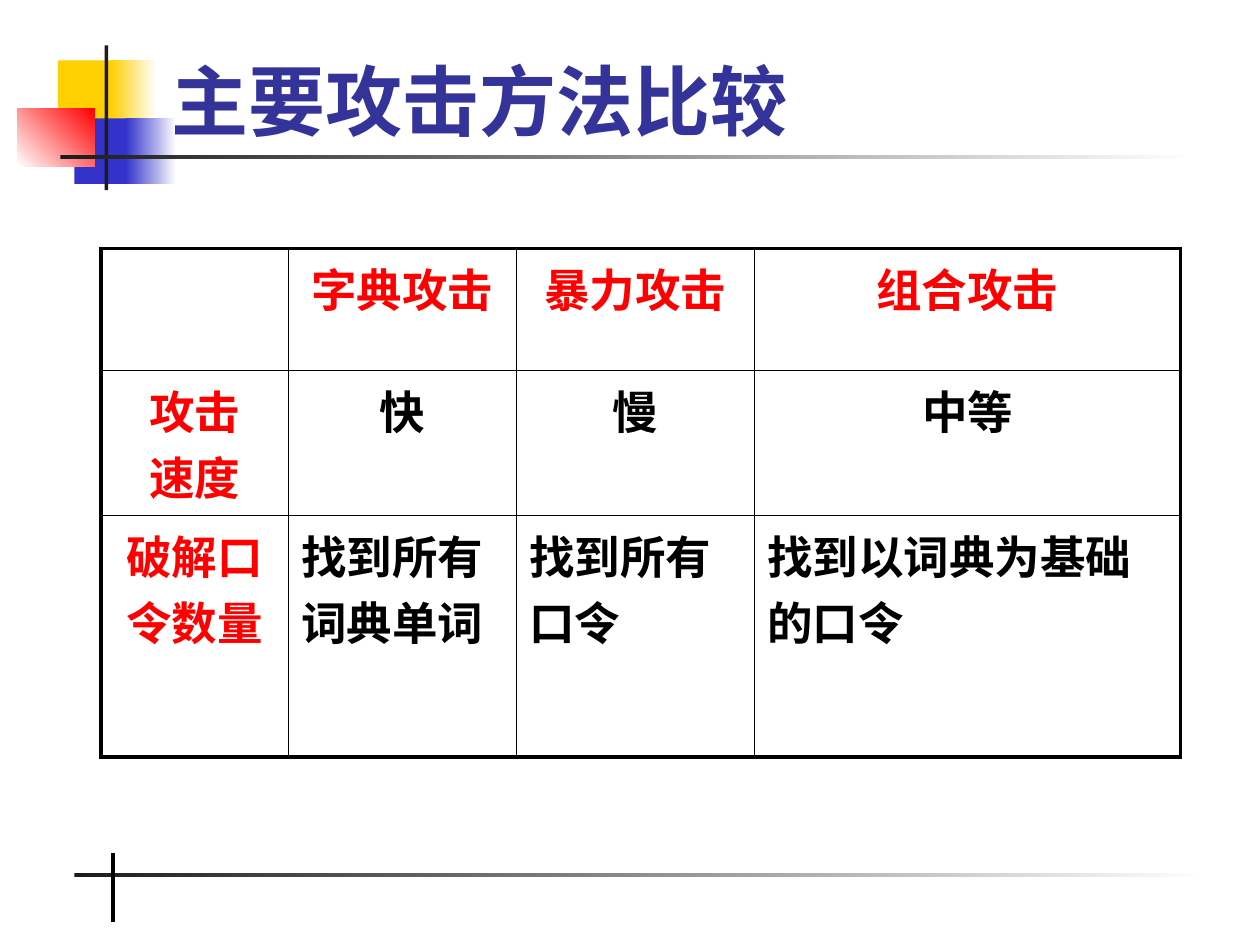
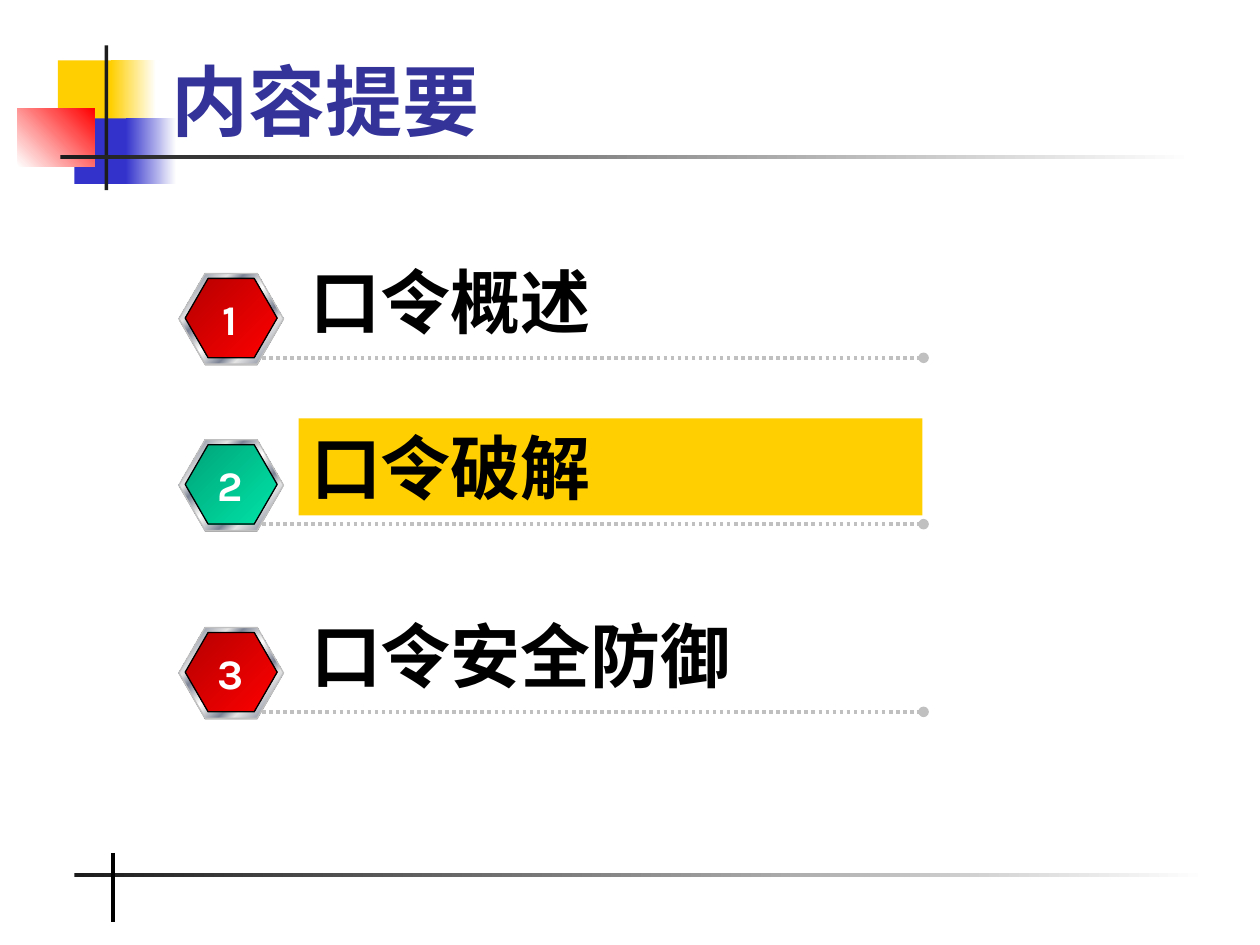
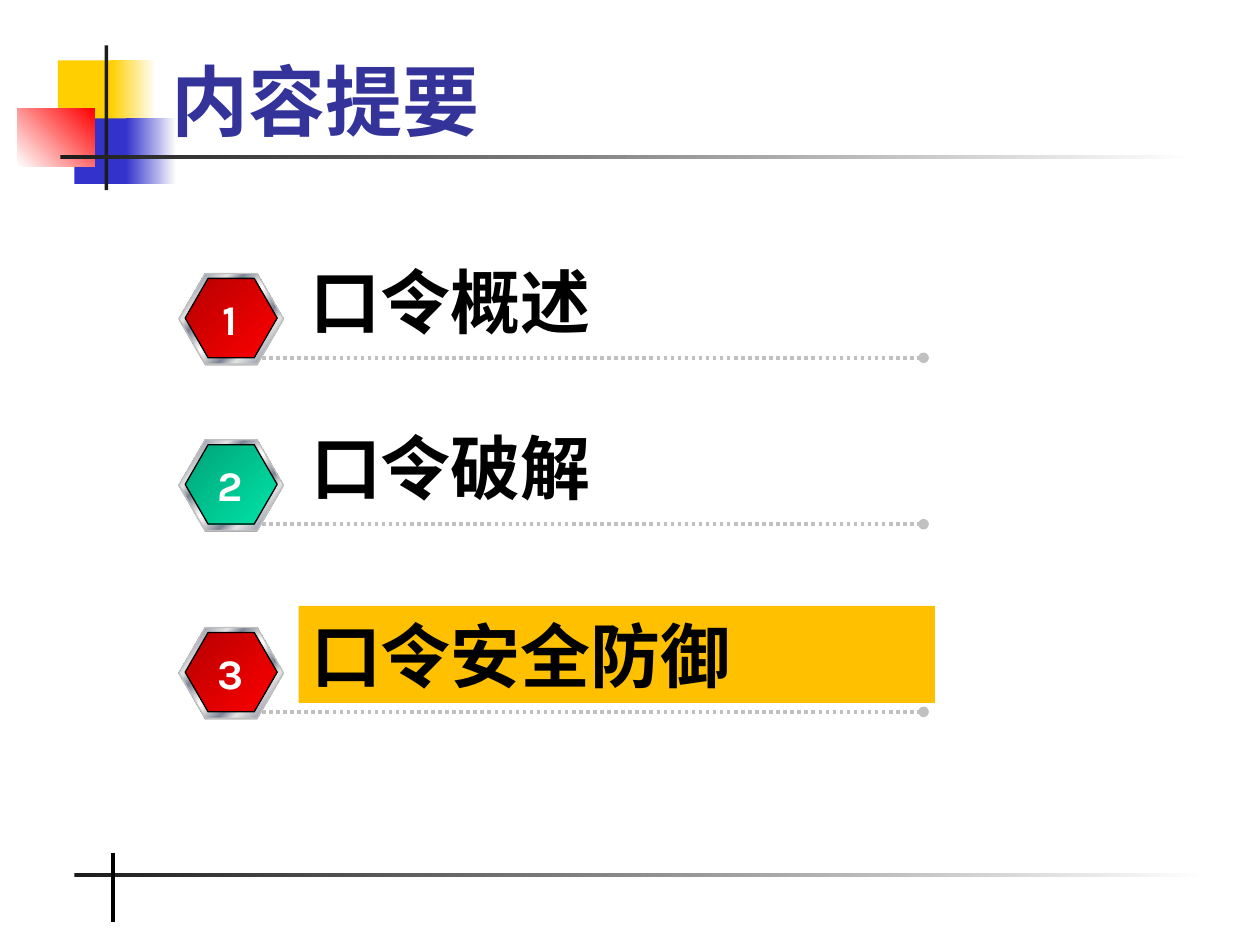
"""Build three slides on password attacks: a comparison table and two agenda views."""
from dataclasses import dataclass

from lxml import etree
from pptx import Presentation, util as u
from pptx.dml.color import RGBColor
from pptx.enum import dml, shapes, text
from pptx.oxml import ns


@dataclass(frozen=True)
class Theme:
    black: str = "000000"
    white: str = "FFFFFF"
    ink: str = "1C1C1C"
    title: str = "333399"
    yellow: str = "FFCF01"
    amber: str = "FFC000"
    blue: str = "3333CC"
    red: str = "FF0000"
    dark_red: str = "B60000"
    green: str = "00E4A8"
    dark_green: str = "00A378"
    silver: str = "C0C0C0"
    gray: str = "808080"
    light: str = "E6E6E6"
    steel: str = "7D8496"
    serif: str = "Times New Roman"
    sans: str = "DejaVu Sans"
    label: str = "Karla"
    title_pt: float = 44
    agenda_pt: float = 40
    table_pt: float = 26
    number_pt: float = 24
    thin_pt: float = 1
    thick_pt: float = 2.25


T = Theme()

COMPARISON = [
    ["", "字典攻击", "暴力攻击", "组合攻击"],
    ["攻击\n速度", "快", "慢", "中等"],
    ["破解口令数量", "找到所有词典单词", "找到所有口令", "找到以词典为基础的口令"],
]
COL_WIDTHS = [1.49, 1.81, 1.89, 3.38]
ROW_HEIGHTS = [0.97, 1.15, 1.92]
SANS_CELL = (2, 2)

RED_BADGE = (T.dark_red, T.red)
GREEN_BADGE = (T.dark_green, T.green)
AGENDA = [
    (2.0, 4.96, RED_BADGE, [("口令概述", T.serif)]),
    (3.32, 4.95, GREEN_BADGE, [("口令破解", T.label)]),
    (4.81, 5.05, RED_BADGE, [("口令安全防御", T.label)]),
]
SPLIT_LABEL = [("口令", T.serif), ("安全防御", T.label)]

METAL = [(0, T.light), (7, T.steel), (26, T.light), (34, T.steel), (46, T.light),
         (50, T.white), (54, T.light), (66, T.steel), (74, T.light), (93, T.steel),
         (100, T.light)]

FADE = [(0, T.ink), (100, T.white)]
FRAME = [
    ((0.46, 0.48, 0.48, 0.52), T.yellow, 0),
    ((0.88, 0.48, 0.36, 0.52), [(0, T.yellow), (100, T.white)], 0),
    ((0.59, 0.94, 0.46, 0.52), T.blue, 0),
    ((1.0, 0.94, 0.4, 0.52), [(0, T.blue), (100, T.white)], 0),
    ((0.14, 0.86, 0.61, 0.46), [(0, T.white), (100, T.red)], 315),
    ((0.83, 0.36, 0.03, 1.15), T.ink, 0),
    ((0.48, 1.23, 9, 0.03), FADE, 0),
    ((0.59, 6.93, 9, 0.03), FADE, 0),
]


def rgb(color):
    return RGBColor.from_string(color)


def inches(values):
    return [u.Inches(v) for v in values]


def add(parent, tag, **attrs):
    return etree.SubElement(parent, ns.qn(tag), attrs)


def paint(sp, fill, angle=0):
    if isinstance(fill, str):
        sp.fill.solid()
        sp.fill.fore_color.rgb = rgb(fill)
        return
    sp.fill.gradient()
    sp.fill.gradient_angle = (360 - angle) % 360
    stops = sp.element.spPr.find(".//" + ns.qn("a:gsLst"))
    for stop in list(stops):
        stops.remove(stop)
    for position, color in fill:
        add(add(stops, "a:gs", pos=str(position * 1000)), "a:srgbClr", val=color)


def add_block(s, kind, box, fill, angle=0, line=None):
    sp = s.shapes.add_shape(kind, *inches(box))
    sp.shadow.inherit = False
    paint(sp, fill, angle)
    if line:
        sp.line.color.rgb = rgb(line)
        sp.line.width = u.Pt(0.75)
    else:
        sp.line.fill.background()
    return sp


def add_line(s, ends, color, width):
    sp = s.shapes.add_connector(shapes.MSO_CONNECTOR.STRAIGHT, *inches(ends))
    sp.line.color.rgb = rgb(color)
    sp.line.width = u.Pt(width)
    add(sp.element.spPr, "a:effectLst")
    return sp


def style(p, size, color, align=text.PP_ALIGN.LEFT, font=None):
    p.alignment = align
    p.font.size = u.Pt(size)
    p.font.bold = True
    p.font.color.rgb = rgb(color)
    if font:
        p.font.name = font


def add_text(s, box, runs, size, color, align=text.PP_ALIGN.LEFT, wrap=True,
             anchor=text.MSO_ANCHOR.TOP, grow=True):
    sp = s.shapes.add_textbox(*inches(box))
    tf = sp.text_frame
    tf.word_wrap = wrap
    tf.vertical_anchor = anchor
    if grow:
        tf.auto_size = text.MSO_AUTO_SIZE.SHAPE_TO_FIT_TEXT
    p = tf.paragraphs[0]
    for words, font in runs:
        r = p.add_run()
        r.text = words
        r.font.name = font
    style(p, size, color, align)
    return sp


def new_slide(prs, title):
    s = prs.slides.add_slide(prs.slide_layouts[6])
    for box, fill, angle in FRAME:
        add_block(s, shapes.MSO_SHAPE.RECTANGLE, box, fill, angle)
    add_line(s, (0.9, 6.77, 0.9, 7.32), T.black, T.thick_pt)
    add_text(s, (1.26, 0.16, 8.52, 1.05), [(title, T.serif)], T.title_pt, T.title,
             anchor=text.MSO_ANCHOR.BOTTOM, grow=False)
    return s


def set_borders(cell, outer):
    tc_pr = cell._tc.get_or_add_tcPr()
    for i, (side, is_outer) in enumerate(outer.items()):
        width = u.Pt(T.thick_pt if is_outer else T.thin_pt)
        ln = etree.Element(ns.qn(f"a:ln{side}"), w=str(int(width)))
        add(add(ln, "a:solidFill"), "a:srgbClr", val=T.black)
        tc_pr.insert(i, ln)


def add_comparison(s):
    rows, cols = len(ROW_HEIGHTS), len(COL_WIDTHS)
    box = inches((0.8, 1.97, sum(COL_WIDTHS), sum(ROW_HEIGHTS)))
    table = s.shapes.add_table(rows, cols, *box).table
    table.first_row = table.horz_banding = False
    for column, width in zip(table.columns, COL_WIDTHS):
        column.width = u.Inches(width)
    for row, height in zip(table.rows, ROW_HEIGHTS):
        row.height = u.Inches(height)
    for i, line in enumerate(COMPARISON):
        for j, words in enumerate(line):
            cell = table.cell(i, j)
            cell.fill.background()
            set_borders(cell, {"L": j == 0, "R": j == cols - 1,
                               "T": i == 0, "B": i == rows - 1})
            cell.text = words
            centred = i < rows - 1 or j == 0
            for p in cell.text_frame.paragraphs:
                style(p, T.table_pt, T.red if i == 0 or j == 0 else T.black,
                      text.PP_ALIGN.CENTER if centred else text.PP_ALIGN.LEFT,
                      T.sans if (i, j) == SANS_CELL else T.serif)


def add_hexagon(s, box, fill, line=None):
    sp = add_block(s, shapes.MSO_SHAPE.HEXAGON, box, fill, 45, line)
    sp.adjustments[0] = 0.289


def add_agenda(s, active, highlight, active_runs=None):
    for number, (top, width, badge, runs) in enumerate(AGENDA, 1):
        add_hexagon(s, (1.42, top + 0.18, 0.83, 0.72), T.gray)
        add_hexagon(s, (1.42, top + 0.17, 0.83, 0.72), METAL, T.silver)
        add_hexagon(s, (1.47, top + 0.21, 0.73, 0.63), list(zip((0, 100), badge)), T.black)
        rule = add_line(s, (2.08, top + 0.84, 7.33, top + 0.84), T.silver, 2)
        rule.line.dash_style = dml.MSO_LINE.ROUND_DOT
        add(rule.line._get_or_add_ln(), "a:tailEnd", type="oval")
        is_active = number == active
        label = add_text(s, (2.37, top, width, 0.77),
                         active_runs if is_active and active_runs else runs,
                         T.agenda_pt, T.black)
        if is_active:
            paint(label, highlight)
        add_text(s, (1.63, top + 0.28, 0.39, 0.5), [(str(number), T.label)],
                 T.number_pt, T.white, text.PP_ALIGN.CENTER, wrap=False)


def main():
    prs = Presentation()
    prs.slide_width, prs.slide_height = inches((10, 7.5))
    add_comparison(new_slide(prs, "主要攻击方法比较"))
    add_agenda(new_slide(prs, "内容提要"), 2, T.yellow)
    add_agenda(new_slide(prs, "内容提要"), 3, T.amber, SPLIT_LABEL)
    prs.save("out.pptx")


if __name__ == "__main__":
    main()
